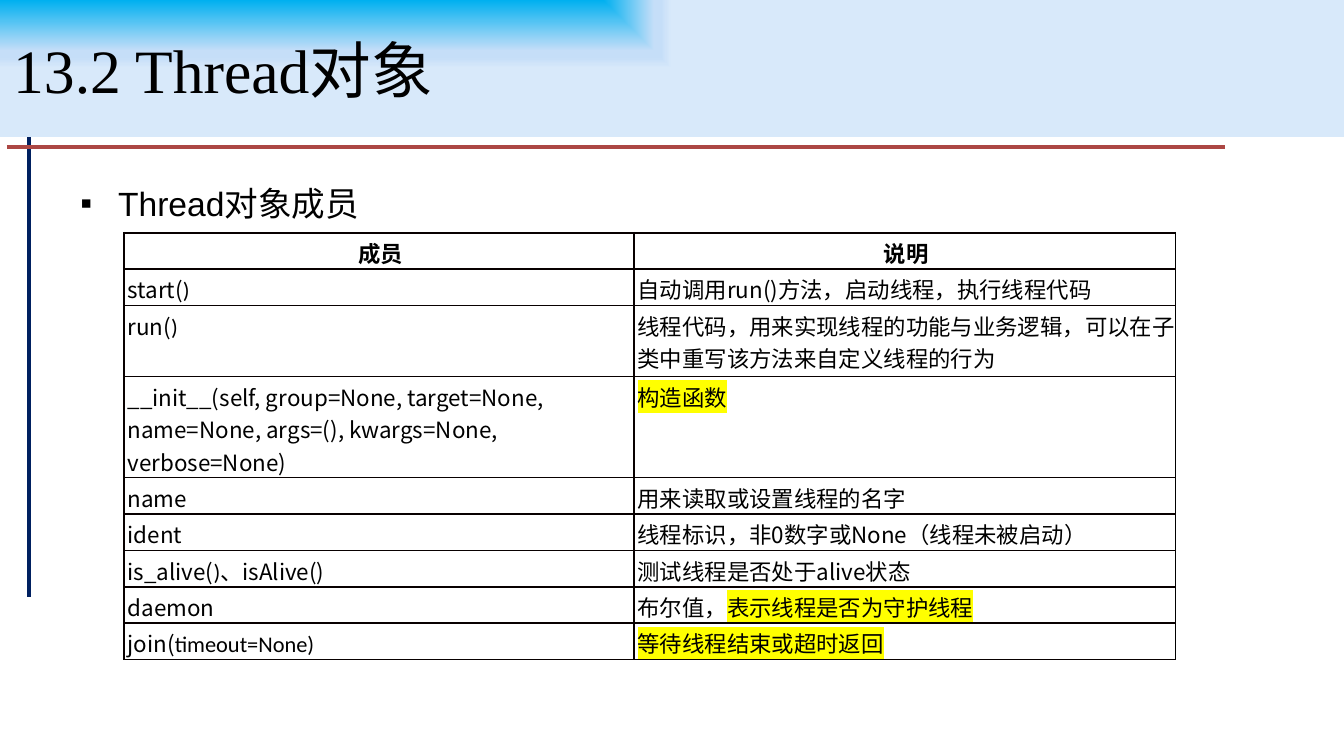
from lxml.etree import SubElement as Sub
from pptx import Presentation
from pptx.dml.color import RGBColor as RGB
from pptx.enum.shapes import MSO_CONNECTOR as CONNECTOR, MSO_SHAPE as SHAPE
from pptx.enum.text import MSO_ANCHOR as ANCHOR, PP_ALIGN as ALIGN
from pptx.oxml import parse_xml
from pptx.oxml.ns import nsdecls, qn
from pptx.util import Pt

COLORS = {
    "text": "000000", "navy": "002060", "red": "AC4744",
    "grid": "080000", "edge": "000000", "mark": "FFFF00",
}
BANNER_STOPS = [(0, "00B0F0"), (74, "C5DEF8"), (83, "C5DEF8"), (100, "D8E9FA")]
CJK, LATIN = "Noto Sans CJK SC", "Calibri"
ROW_HEIGHTS = {1: 19.5, 2: 38, 3: 54.3}  # by number of text lines


# A cell is a list of (text, font, highlighted) runs
def plain(text):
    return [(text, CJK, False)]


def marked(text):
    return [(text, CJK, True)]


def closed(text, ending=")"):
    return [(text, CJK, False), (ending, LATIN, False)]


HEADINGS = ["成员", "说明"]
MEMBERS = [
    (closed("start("), plain("自动调用run()方法，启动线程，执行线程代码")),
    (closed("run("), plain("线程代码，用来实现线程的功能与业务逻辑，可以在子类中重写该方法来自定义线程的行为")),
    (plain("__init__(self, group=None, target=None, name=None, args=(), kwargs=None, verbose=None)"),
     marked("构造函数")),
    (plain("name"), plain("用来读取或设置线程的名字")),
    (plain("ident"), plain("线程标识，非0数字或None（线程未被启动）")),
    (closed("is_alive(") + plain("、isAlive()"), plain("测试线程是否处于alive状态")),
    (plain("daemon"), plain("布尔值，") + marked("表示线程是否为守护线程")),
    (closed("join(", "timeout=None)"), marked("等待线程结束或超时返回")),
]
LINE_COUNTS = [1, 1, 2, 3, 1, 1, 1, 1, 1]


class MemberSlide:
    def __init__(self, slide):
        self.slide = slide

    def style(self, font, size, name=None, bold=False):
        font.size, font.bold = Pt(size), bold
        font.color.rgb = RGB.from_string(COLORS["text"])
        if name:
            font.name = name

    def rule(self, x1, y1, x2, y2, color):
        line = self.slide.shapes.add_connector(
            CONNECTOR.STRAIGHT, Pt(x1), Pt(y1), Pt(x2), Pt(y2))
        line.line.color.rgb = RGB.from_string(COLORS[color])
        line.line.width = Pt(2.25)
        Sub(line._element.spPr, qn("a:effectLst"))

    def bullet(self, text, left, top, width, height):
        frame = self.slide.shapes.add_textbox(
            Pt(left), Pt(top), Pt(width), Pt(height)).text_frame
        frame.word_wrap = True
        point = frame.paragraphs[0]
        point.text = text
        point.space_before = Pt(2.7)
        self.style(point.font, 18, "Arial")
        props = point._p.get_or_add_pPr()
        props.set("marL", str(Pt(20.25)))
        props.set("indent", str(Pt(-20.25)))
        for mark in ('buFont {} typeface="Arial"', 'buChar {} char="▪"'):
            props.find(qn("a:defRPr")).addprevious(
                parse_xml(f'<a:{mark.format(nsdecls("a"))}/>'))

    def banner(self, text, width, height):
        box = self.slide.shapes.add_shape(SHAPE.RECTANGLE, 0, 0, Pt(width), Pt(height))
        box.shadow.inherit = False
        box.line.fill.background()
        stops = "".join(
            f'<a:gs pos="{pos * 1000}"><a:srgbClr val="{color}"/></a:gs>'
            for pos, color in BANNER_STOPS)
        box._element.spPr.find(qn("a:prstGeom")).addnext(parse_xml(
            f'<a:gradFill {nsdecls("a")} rotWithShape="1"><a:gsLst>{stops}</a:gsLst>'
            '<a:path path="rect"><a:fillToRect r="100000" b="100000"/></a:path>'
            '</a:gradFill>'))
        frame = box.text_frame
        frame.word_wrap, frame.vertical_anchor = True, ANCHOR.MIDDLE
        title = frame.paragraphs[0]
        title.text, title.alignment = text, ALIGN.LEFT
        self.style(title.font, 33, "Times New Roman")

    def border(self, cell, last):
        props = cell._tc.get_or_add_tcPr()
        for index, side in enumerate(("lnL", "lnR", "lnT", "lnB")):
            outer = last and side == "lnR"
            color, width = ("edge", 0.75) if outer else ("grid", 1)
            props.insert(index, parse_xml(
                f'<a:{side} {nsdecls("a")} w="{Pt(width)}"><a:solidFill>'
                f'<a:srgbClr val="{COLORS[color]}"/></a:solidFill></a:{side}>'))

    def cell(self, cell, runs, heading, last):
        cell.margin_left = cell.margin_top = Pt(2)
        cell.margin_right = cell.margin_bottom = 0
        cell.fill.background()
        self.border(cell, last)
        entry = cell.text_frame.paragraphs[0]
        entry.alignment = ALIGN.CENTER if heading else ALIGN.LEFT
        mixed = len({font for _, font, _ in runs}) > 1
        self.style(entry.font, 12, None if mixed else CJK, heading)
        for text, font, highlighted in runs:
            run = entry.add_run()
            run.text = text
            if mixed:
                run.font.name = font
            if highlighted:
                run._r.get_or_add_rPr().insert(0, parse_xml(
                    f'<a:highlight {nsdecls("a")}>'
                    f'<a:srgbClr val="{COLORS["mark"]}"/></a:highlight>'))

    def table(self, rows, left, top, widths, heights):
        grid = self.slide.shapes.add_table(
            len(rows), len(widths), Pt(left), Pt(top),
            Pt(sum(widths)), Pt(sum(heights))).table
        grid.first_row = grid.horz_banding = False
        for column, width in zip(grid.columns, widths):
            column.width = Pt(width)
        for r, (row, height) in enumerate(zip(rows, heights)):
            grid.rows[r].height = Pt(height)
            for c, runs in enumerate(row):
                self.cell(grid.cell(r, c), runs, r == 0, c == len(widths) - 1)


def main():
    deck = Presentation()
    deck.slide_width, deck.slide_height = Pt(720), Pt(405)
    page = MemberSlide(deck.slides.add_slide(deck.slide_layouts[6]))

    # Frame lines
    page.rule(15.6, 58.5, 15.6, 320, "navy")
    page.rule(3.75, 78.9, 656, 78.9, "red")

    # Topic and member table
    page.bullet("Thread对象成员", 36, 94.5, 648, 267)
    rows = [[plain(heading) for heading in HEADINGS], *MEMBERS]
    heights = [ROW_HEIGHTS[count] for count in LINE_COUNTS]
    page.table(rows, 66.4, 124.7, [273.2, 290], heights)

    # Title banner
    page.banner("13.2 Thread对象", 720, 73.5)
    deck.save("out.pptx")


if __name__ == "__main__":
    main()
